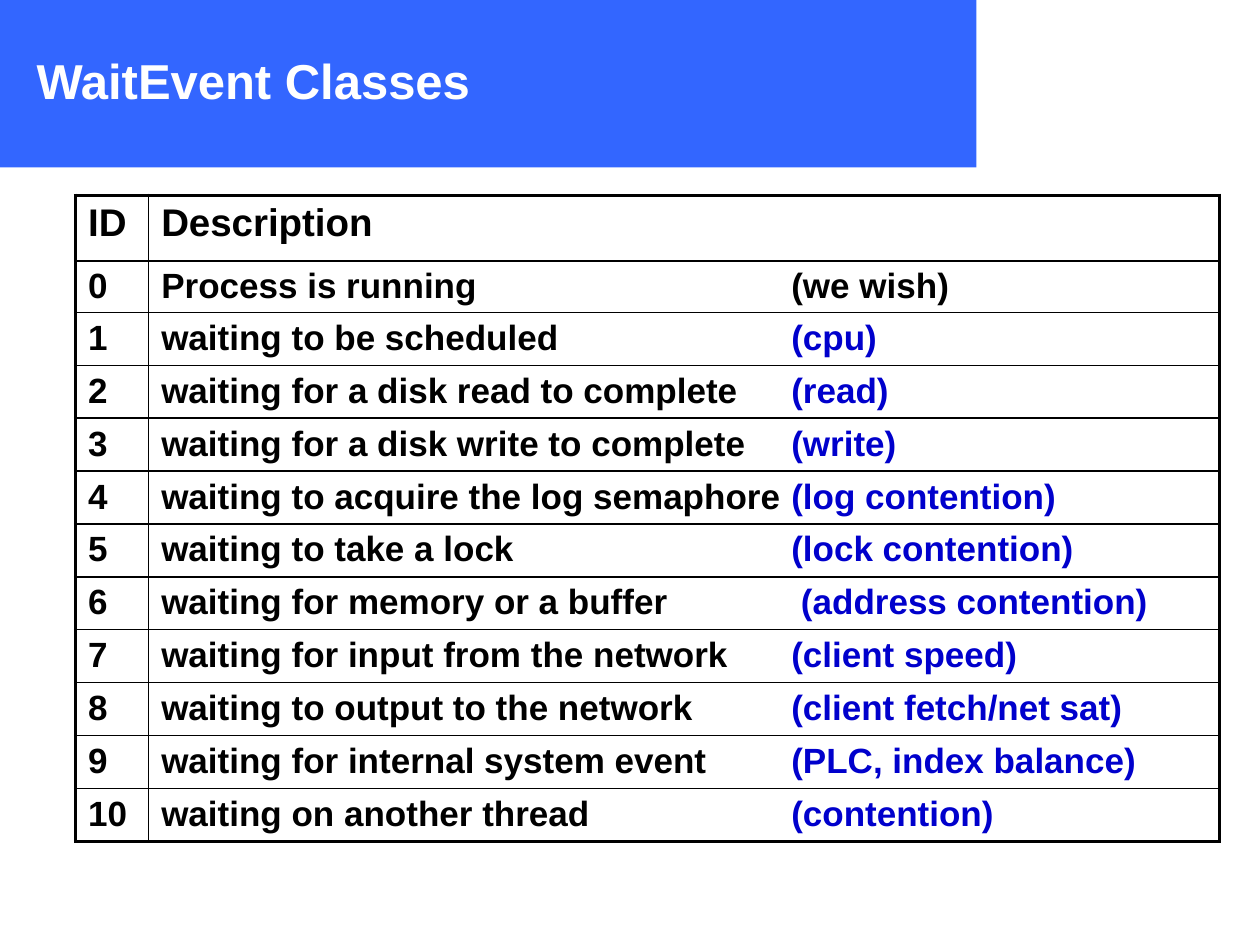
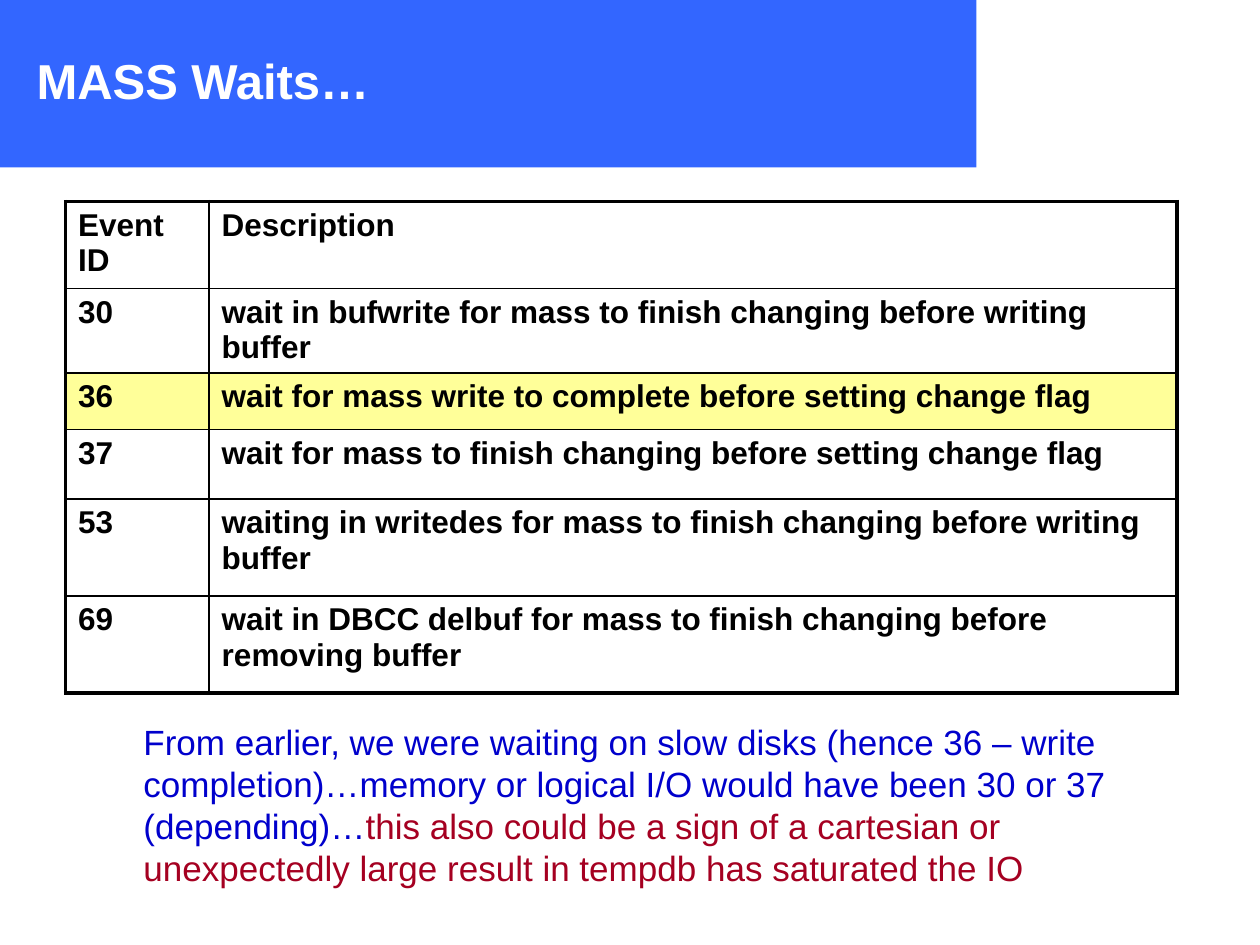
from dataclasses import dataclass

from lxml.etree import SubElement as Sub
from pptx import Presentation
from pptx.dml.color import RGBColor as Rgb
from pptx.enum.shapes import MSO_SHAPE as Shape
from pptx.enum.text import MSO_ANCHOR as Anchor, PP_ALIGN as Align
from pptx.oxml.ns import qn
from pptx.util import Inches, Pt


# Shared colours, type sizes and line widths
@dataclass(frozen=True)
class Theme:
    font: str = "Arial"
    band: str = "3366FF"
    light: str = "FFFFFF"
    ink: str = "000000"
    blue: str = "0000CC"
    red: str = "A50021"
    mark: str = "FFFF99"
    title: int = 28
    head: int = 22
    body: int = 20
    small: int = 18
    thick: float = 2.25
    thin: float = 1


THEME = Theme()
TITLE_ONLY = 5
TAB = 5

CLASSES = [
    ("ID", "Description"),
    ("0", "Process is running\t(we wish)"),
    ("1", "waiting to be scheduled\t", "(cpu)"),
    ("2", "waiting for a disk read to complete\t", "(read)"),
    ("3", "waiting for a disk write to complete\t", "(write)"),
    ("4", "waiting to acquire the log semaphore\t", "(log contention)"),
    ("5", "waiting to take a lock\t", "(lock contention)"),
    ("6", "waiting for memory or a buffer\t ", "(address contention)"),
    ("7", "waiting for input from the network\t", "(client speed)"),
    ("8", "waiting to output to the network\t", "(client fetch/net sat)"),
    ("9", "waiting for internal system event\t", "(PLC, index balance)"),
    ("10", "waiting on another thread\t", "(contention)"),
]

WAITS = [
    ("Event ID", "Description"),
    ("30", "wait in bufwrite for mass to finish changing before writing buffer"),
    ("36", "wait for mass write to complete before setting change flag"),
    ("37", "wait for mass to finish changing before setting change flag"),
    ("53", "waiting in writedes for mass to finish changing before writing buffer"),
    ("69", "wait in DBCC delbuf for mass to finish changing before removing buffer"),
]

NOTE = [
    ("From earlier, we were waiting on slow disks (hence 36 – write "
     "completion)…memory or logical I/O would have been 30 or 37 "
     "(depending)…", THEME.blue),
    ("this also could be a sign of a cartesian or unexpectedly large "
     "result in tempdb has saturated the IO", THEME.red),
]


def paint(fill, color):
    fill.solid()
    fill.fore_color.rgb = Rgb.from_string(color)


def style(para, size, color=None, bold=False):
    font = para.font
    font.name, font.size, font.bold = THEME.font, Pt(size), bold
    if color:
        font.color.rgb = Rgb.from_string(color)


def write(para, parts):
    for text, color in parts:
        run = para.add_run()
        run.text = text
        run.font.color.rgb = Rgb.from_string(color)


def place(shape, box):
    shape.left, shape.top, shape.width, shape.height = map(Inches, box)


# Title on its blue band
def add_title(slide, text, box=(0, 0, 7.75, 1.33)):
    left, top, width, height = box
    band = slide.shapes.add_shape(Shape.RECTANGLE, *map(Inches, box))
    band.shadow.inherit = False
    paint(band.fill, THEME.band)
    band.line.fill.background()
    slide.shapes._spTree.insert(2, band._element)

    title = slide.shapes.title
    place(title, (left + 0.19, top + 0.01, width - 0.21, height - 0.08))
    paint(title.fill, THEME.band)
    frame = title.text_frame
    frame.text = text
    frame.vertical_anchor = Anchor.MIDDLE
    para = frame.paragraphs[0]
    para.alignment = Align.LEFT
    style(para, THEME.title, THEME.light, True)


def edge(cell, side, width):
    line = Sub(cell._tc.get_or_add_tcPr(), qn("a:ln" + side), w=str(Pt(width)))
    fill = Sub(line, qn("a:solidFill"))
    Sub(fill, qn("a:srgbClr"), val=THEME.ink)


def add_tab(para, pos):
    tabs = Sub(para._p.get_or_add_pPr(), qn("a:tabLst"))
    Sub(tabs, qn("a:tab"), pos=str(Inches(pos)), algn="l")


# Ruled table with a thick outer frame
def add_grid(slide, data, spot, cols, rows, sizes, mark=None):
    box = (*spot, sum(cols), sum(rows))
    grid = slide.shapes.add_table(len(rows), len(cols), *map(Inches, box)).table
    grid.first_row = grid.horz_banding = False
    for col, width in zip(grid.columns, cols):
        col.width = Inches(width)
    for y, (key, text, *tail) in enumerate(data):
        grid.rows[y].height = Inches(rows[y])
        for x, lead in enumerate((key, text)):
            cell = grid.cell(y, x)
            outer = {"L": x == 0, "R": x == len(cols) - 1,
                     "T": y == 0, "B": y == len(rows) - 1}
            for side, rim in outer.items():
                edge(cell, side, THEME.thick if rim else THEME.thin)
            if key == mark:
                paint(cell.fill, THEME.mark)
            else:
                cell.fill.background()
            para = cell.text_frame.paragraphs[0]
            if "\t" in lead:
                add_tab(para, TAB)
            parts = [(lead, THEME.ink)]
            if x:
                parts += [(hint, THEME.blue) for hint in tail]
            write(para, parts)
            style(para, sizes[0] if y == 0 else sizes[1], bold=True)


# Closing remark in two colours
def add_note(slide, parts, box):
    frame = slide.shapes.add_textbox(*map(Inches, box)).text_frame
    frame.word_wrap = True
    para = frame.paragraphs[0]
    write(para, parts)
    style(para, THEME.body)


def new_slide(deck, title):
    slide = deck.slides.add_slide(deck.slide_layouts[TITLE_ONLY])
    add_title(slide, title)
    return slide


def class_slide(deck):
    slide = new_slide(deck, "WaitEvent Classes")
    add_grid(slide, CLASSES, (0.6, 1.55), (0.58, 8.5),
             [0.52, 0.4] + [0.42] * 10, (THEME.head, THEME.body))


def mass_slide(deck):
    slide = new_slide(deck, "MASS Waits…")
    add_grid(slide, WAITS, (0.52, 1.6), (1.14, 7.68),
             [0.69, 0.67, 0.45, 0.55, 0.77, 0.77],
             (THEME.small, THEME.small), mark="36")
    add_note(slide, NOTE, (1.04, 5.67, 8.62, 1.43))


def main():
    deck = Presentation()
    deck.slide_width, deck.slide_height = Inches(10), Inches(7.5)
    class_slide(deck)
    mass_slide(deck)
    deck.save("out.pptx")


if __name__ == "__main__":
    main()
